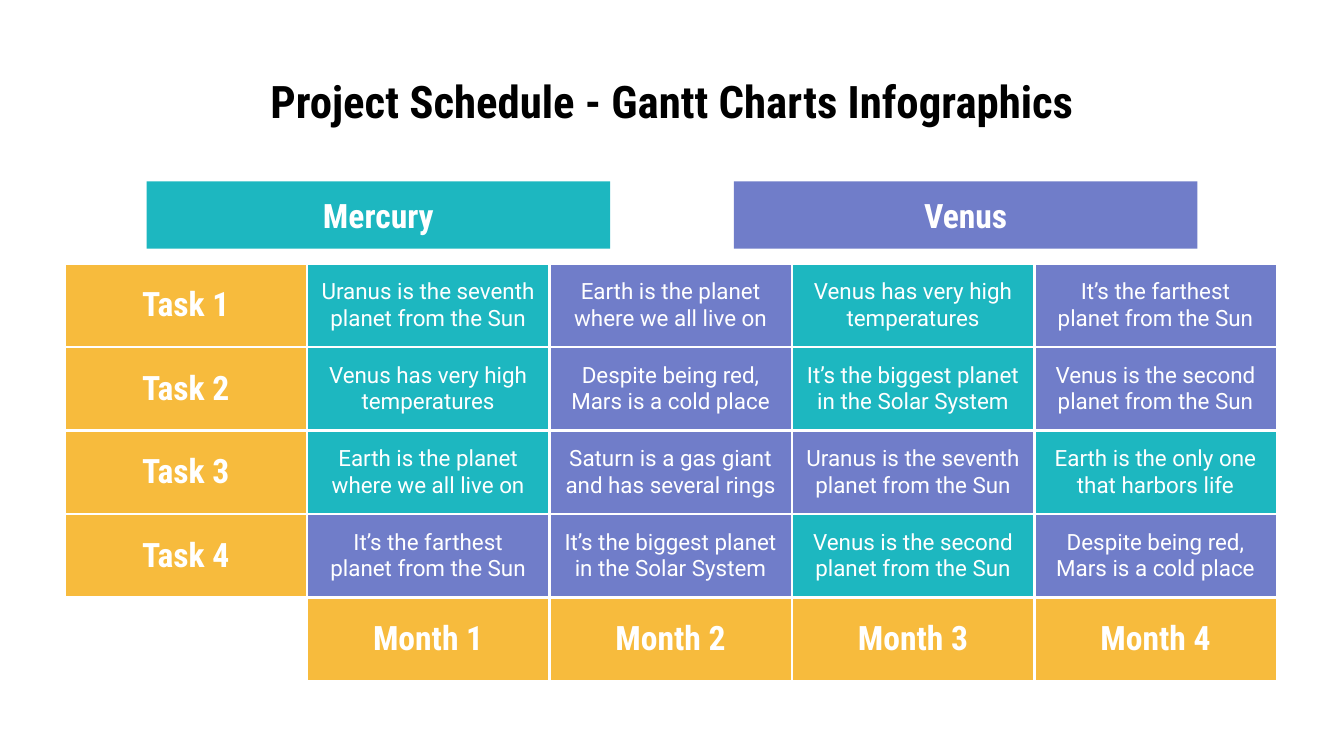
from dataclasses import dataclass

from lxml.etree import SubElement
from pptx import Presentation
from pptx.dml.color import RGBColor
from pptx.enum.shapes import MSO_SHAPE
from pptx.enum.text import MSO_ANCHOR, MSO_AUTO_SIZE, PP_ALIGN
from pptx.oxml.ns import qn
from pptx.util import Inches, Pt


@dataclass(frozen=True)
class Theme:
    black: str = "000000"
    white: str = "FFFFFF"
    teal: str = "1DB7C0"
    violet: str = "707DC9"
    amber: str = "F7BB3D"
    heading: str = "Roboto Condensed"
    body: str = "Roboto"
    title_size: int = 24
    label_size: int = 18
    text_size: int = 12
    border: float = 1.5


THEME = Theme()
MARGIN = Inches(0.1)
TABLE_BOX = (Inches(0.48), Inches(1.96), Inches(9.02), Inches(3.11))

# Each task lists its four months as (owner, text): M for Mercury, V for Venus
OWNER_COLORS = {"M": THEME.teal, "V": THEME.violet}
SCHEDULE = [
    [("M", "Uranus is the seventh planet from the Sun"),
     ("V", "Earth is the planet where we all live on"),
     ("M", "Venus has very high temperatures"),
     ("V", "It’s the farthest planet from the Sun")],
    [("M", "Venus has very high temperatures"),
     ("V", "Despite being red, Mars is a cold place"),
     ("M", "It’s the biggest planet in the Solar System"),
     ("V", "Venus is the second planet from the Sun")],
    [("M", "Earth is the planet where we all live on"),
     ("V", "Saturn is a gas giant and has several rings"),
     ("V", "Uranus is the seventh planet from the Sun"),
     ("M", "Earth is the only one that harbors life")],
    [("V", "It’s the farthest planet from the Sun"),
     ("V", "It’s the biggest planet in the Solar System"),
     ("M", "Venus is the second planet from the Sun"),
     ("V", "Despite being red, Mars is a cold place")],
]


def set_fill(obj, color):
    obj.fill.solid()
    obj.fill.fore_color.rgb = RGBColor.from_string(color)


def set_margins(obj):
    obj.margin_left = obj.margin_right = MARGIN
    obj.margin_top = obj.margin_bottom = MARGIN


def write(tf, text, size, font=THEME.heading, color=THEME.white, bold=True):
    """Add one centred run to the first paragraph."""
    p = tf.paragraphs[0]
    p.alignment = PP_ALIGN.CENTER
    r = p.add_run()
    r.text = text
    r.font.size = Pt(size)
    r.font.name = font
    r.font.bold = bold
    r.font.color.rgb = RGBColor.from_string(color)


def add_title(slide, text):
    sp = slide.shapes.title
    sp.left, sp.top = Inches(0.5), Inches(0.45)
    sp.width, sp.height = Inches(9), Inches(0.63)
    tf = sp.text_frame
    tf.auto_size = MSO_AUTO_SIZE.NONE
    tf.vertical_anchor = MSO_ANCHOR.TOP
    set_margins(tf)
    write(tf, text, THEME.title_size, color=THEME.black)


def add_banner(slide, left, text, color):
    sp = slide.shapes.add_shape(MSO_SHAPE.RECTANGLE, Inches(left), Inches(1.35),
                                Inches(3.45), Inches(0.5))
    sp.shadow.inherit = False
    set_fill(sp, color)
    sp.line.fill.background()
    tf = sp.text_frame
    tf.vertical_anchor = MSO_ANCHOR.MIDDLE
    set_margins(tf)
    write(tf, text, THEME.label_size)


def set_borders(cell):
    """Draw all four sides; border elements precede the fill."""
    tc_pr = cell._tc.get_or_add_tcPr()
    for i, side in enumerate(("a:lnL", "a:lnR", "a:lnT", "a:lnB")):
        ln = SubElement(tc_pr, qn(side), w=str(Pt(THEME.border)))
        solid = SubElement(ln, qn("a:solidFill"))
        SubElement(solid, qn("a:srgbClr"), val=THEME.white)
        tc_pr.insert(i, ln)


def fill_cell(cell, text, color, **style):
    set_fill(cell, color)
    cell.vertical_anchor = MSO_ANCHOR.MIDDLE
    set_margins(cell)
    write(cell.text_frame, text, **style)


def add_schedule(slide):
    n_rows, n_cols = len(SCHEDULE) + 1, len(SCHEDULE[0]) + 1
    table = slide.shapes.add_table(n_rows, n_cols, *TABLE_BOX).table
    table.first_row = table.horz_banding = False

    # Task labels and their texts
    for i, months in enumerate(SCHEDULE):
        fill_cell(table.cell(i, 0), f"Task {i + 1}", THEME.amber,
                  size=THEME.label_size)
        for j, (owner, text) in enumerate(months, start=1):
            fill_cell(table.cell(i, j), text, OWNER_COLORS[owner],
                      size=THEME.text_size, font=THEME.body, bold=False)

    # Month labels below, with an empty corner
    last = n_rows - 1
    table.cell(last, 0).fill.background()
    for j in range(1, n_cols):
        fill_cell(table.cell(last, j), f"Month {j}", THEME.amber,
                  size=THEME.label_size)

    for cell in table.iter_cells():
        set_borders(cell)


def main():
    prs = Presentation()
    # Widescreen, 16:9
    prs.slide_width = Inches(10)
    prs.slide_height = prs.slide_width * 9 // 16
    slide = prs.slides.add_slide(prs.slide_layouts[5])

    add_title(slide, "Project Schedule - Gantt Charts Infographics")
    add_schedule(slide)
    # Colour key above the table
    add_banner(slide, 1.09, "Mercury", THEME.teal)
    add_banner(slide, 5.46, "Venus", THEME.violet)

    prs.save("out.pptx")


if __name__ == "__main__":
    main()
